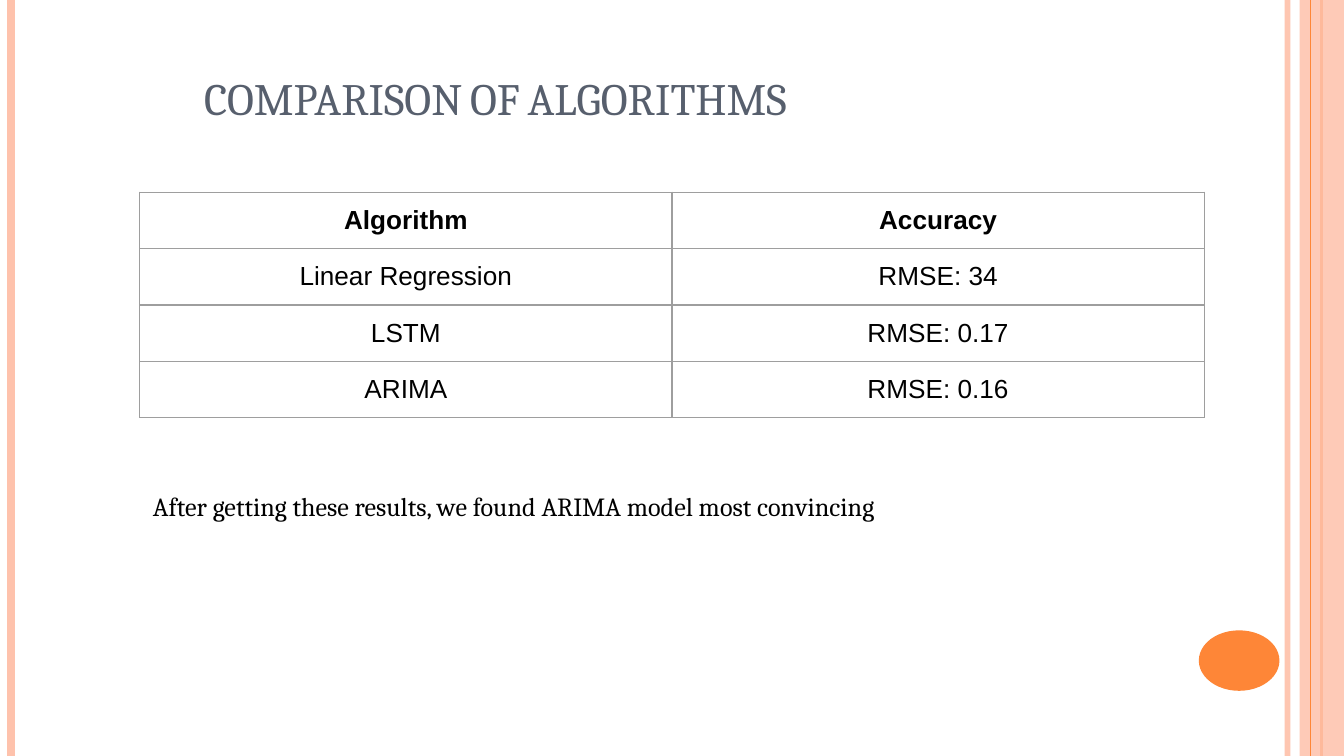
"""Build the slide that compares the forecasting algorithms."""
import pptx
import pptx.dml.color
import pptx.enum.shapes
import pptx.enum.text
import pptx.oxml
import pptx.oxml.ns
import pptx.util

WIDTH = 10
HEIGHT = WIDTH * 9 / 16
PEACH, ORANGE, SLATE, BLACK, GREY = "FEC2AC", "FE8637", "575F6D", "000000", "9E9E9E"
TITLE = "COMPARISON OF ALGORITHMS"
ROWS = [
    ("Algorithm", "Accuracy"),
    ("Linear Regression", "RMSE: 34"),
    ("LSTM", "RMSE: 0.17"),
    ("ARIMA", "RMSE: 0.16"),
]
CONCLUSION = "After getting these results, we found ARIMA model most convincing"
STRIPES_BELOW = [(9.58, PEACH, 3, 92), (0.08, PEACH, 4.5, 100), (9.83, ORANGE, 1.5, 100)]
STRIPE_ABOVE = (9.75, ORANGE, 0.75, 100)
TABLE_LEFT, TABLE_TOP, COL_WIDTH, ROW_HEIGHT = 1.04, 1.43, 3.96, 0.42
TEXT_WIDTH, INSET, CELL_BOTTOM = 7.7, 0.1, 0.08

SHAPES = pptx.enum.shapes.MSO_SHAPE
CENTER = pptx.enum.text.PP_ALIGN.CENTER
LEFT = pptx.enum.text.PP_ALIGN.LEFT
NS = pptx.oxml.ns.nsdecls("a")


def inches(*values):
    return [pptx.util.Inches(v) for v in values]


def rgb(color):
    return pptx.dml.color.RGBColor.from_string(color)


def paint(fill, color, opacity=100):
    fill.solid()
    fill.fore_color.rgb = rgb(color)
    if opacity < 100:
        clr = fill._xPr.find(".//" + pptx.oxml.ns.qn("a:srgbClr"))
        clr.append(pptx.oxml.parse_xml(f'<a:alpha {NS} val="{opacity * 1000}"/>'))


def add_stripe(s, x, color, width, opacity):
    stripe = s.shapes.add_connector(
        pptx.enum.shapes.MSO_CONNECTOR.STRAIGHT, *inches(x, 0, x, HEIGHT))
    stripe.line.width = pptx.util.Pt(width)
    paint(stripe.line.fill, color, opacity)
    stripe._element.spPr.append(pptx.oxml.parse_xml(f"<a:effectLst {NS}/>"))


def add_block(s, kind, box, color, opacity=100):
    sp = s.shapes.add_shape(kind, *inches(*box))
    sp.shadow.inherit = False
    sp.line.fill.background()
    paint(sp.fill, color, opacity)


def write(tf, text, size=14, font="Cambria", color=BLACK, bold=False, align=LEFT, small=False):
    p = tf.paragraphs[0]
    p.alignment = align
    r = p.add_run()
    r.text = text
    r.font.size = pptx.util.Pt(size)
    r.font.name = font
    r.font.bold = bold
    r.font.color.rgb = rgb(color)
    if small:
        r.font._element.set("cap", "small")


def set_insets(target, bottom=INSET):
    target.margin_left = target.margin_right = target.margin_top = pptx.util.Inches(INSET)
    target.margin_bottom = pptx.util.Inches(bottom)


def add_text(s, box, text, **style):
    tf = s.shapes.add_textbox(*inches(*box)).text_frame
    tf.word_wrap = True
    set_insets(tf)
    write(tf, text, **style)


def add_borders(cell, color, width):
    tc_pr = cell._tc.get_or_add_tcPr()
    for i, side in enumerate("LRTB"):
        tc_pr.insert(i, pptx.oxml.parse_xml(
            f'<a:ln{side} {NS} w="{pptx.util.Pt(width)}">'
            f'<a:solidFill><a:srgbClr val="{color}"/></a:solidFill></a:ln{side}>'))


def add_results(s):
    count, cols = len(ROWS), len(ROWS[0])
    box = inches(TABLE_LEFT, TABLE_TOP, cols * COL_WIDTH, count * ROW_HEIGHT)
    table = s.shapes.add_table(count, cols, *box).table
    table.first_row = table.horz_banding = False
    for i, row in enumerate(ROWS):
        for j, text in enumerate(row):
            cell = table.cell(i, j)
            set_insets(cell, bottom=CELL_BOTTOM)
            cell.fill.background()
            add_borders(cell, GREY, 0.75)
            write(cell.text_frame, text, font="Arial", bold=i == 0, align=CENTER)


def main():
    prs = pptx.Presentation()
    prs.slide_width, prs.slide_height = inches(WIDTH, HEIGHT)
    s = prs.slides.add_slide(prs.slide_layouts[6])
    paint(s.background.fill, "FFFFFF")
    for stripe in STRIPES_BELOW:
        add_stripe(s, *stripe)
    add_block(s, SHAPES.RECTANGLE, (9.67, 0, 0.33, HEIGHT), PEACH, opacity=86)
    add_stripe(s, *STRIPE_ABOVE)
    add_block(s, SHAPES.OVAL, (8.92, 4.69, 0.6, 0.45), ORANGE)
    add_text(s, (1.42, 0.43, TEXT_WIDTH, 1), TITLE, size=24, color=SLATE, small=True)
    add_results(s)
    add_text(s, (TABLE_LEFT, 3.55, TEXT_WIDTH, 0.41), CONCLUSION)
    prs.save("out.pptx")


if __name__ == "__main__":
    main()
